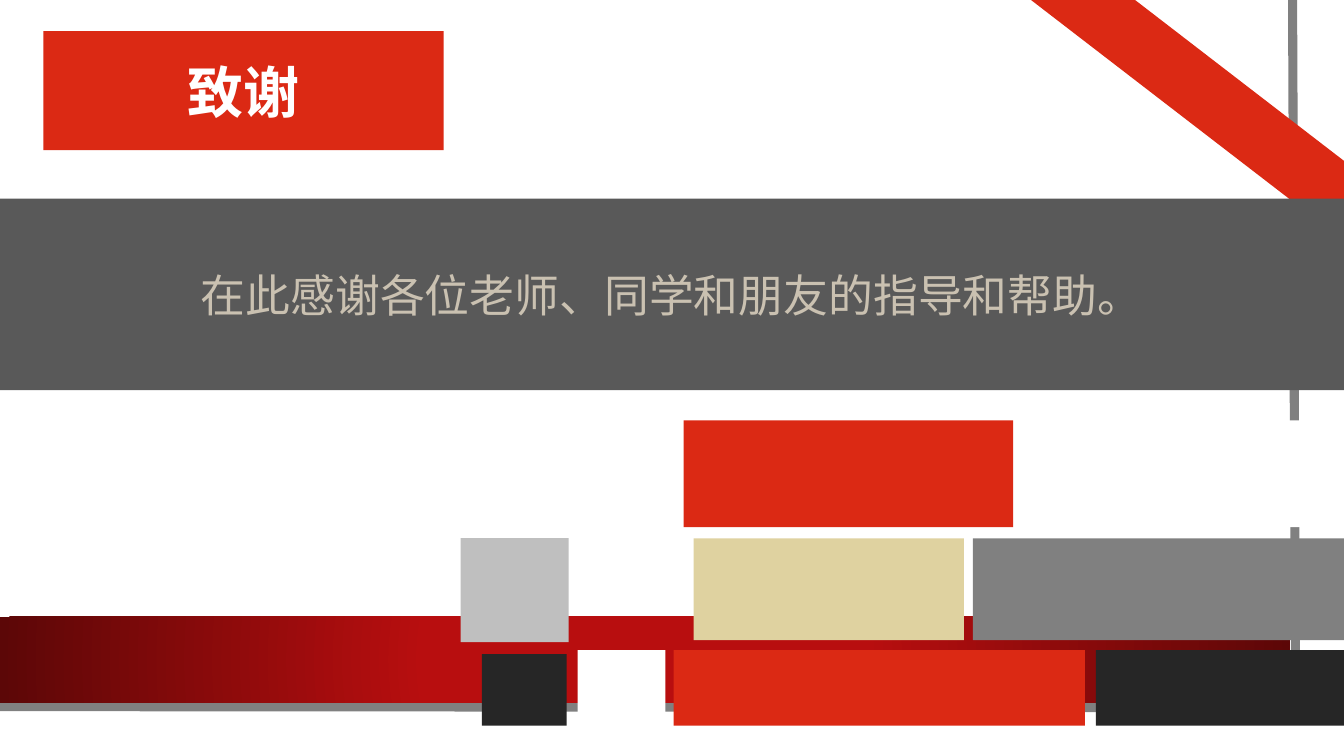
from lxml import etree
from pptx import Presentation
from pptx.dml.color import RGBColor
from pptx.enum.shapes import MSO_SHAPE
from pptx.enum.text import MSO_ANCHOR, PP_ALIGN
from pptx.oxml import parse_xml
from pptx.oxml.ns import nsdecls, qn
from pptx.util import Inches, Pt

WHITE = RGBColor(0xFF, 0xFF, 0xFF)
RED = RGBColor(0xDB, 0x29, 0x14)
CRIMSON = RGBColor(0xB8, 0x0E, 0x0F)
MAROON = RGBColor(0x5C, 0x07, 0x07)
CHARCOAL = RGBColor(0x59, 0x59, 0x59)
BLACK = RGBColor(0x26, 0x26, 0x26)
GREY = RGBColor(0x80, 0x80, 0x80)
SILVER = RGBColor(0xBF, 0xBF, 0xBF)
SAND = RGBColor(0xDF, 0xD2, 0xA0)
TAUPE = RGBColor(0xCA, 0xC1, 0xB1)

TOP_ROW, MIDDLE_ROW, BOTTOM_ROW = 4.17, 5.34, 6.45
TILES = [
    (5.57, TOP_ROW, 1.11, 1.02, WHITE),
    (6.88, MIDDLE_ROW, 2.68, 1.01, SAND),
    (4.57, MIDDLE_ROW, 1.07, 1.03, SILVER),
    (6.78, TOP_ROW, 3.27, 1.06, RED),
    (5.73, BOTTOM_ROW, 0.87, 0.75, WHITE),
    (6.68, BOTTOM_ROW, 4.08, 0.75, RED),
    (9.65, MIDDLE_ROW, 3.69, 1.01, GREY),
    (4.78, 6.49, 0.84, 0.71, BLACK),
    (10.87, BOTTOM_ROW, 2.47, 0.75, BLACK),
    (10.14, TOP_ROW, 3.19, 1.06, WHITE),
]


def add_block(slide, left, top, width, height, color):
    shape = slide.shapes.add_shape(
        MSO_SHAPE.RECTANGLE, Inches(left), Inches(top), Inches(width), Inches(height))
    shape.shadow.inherit = False
    shape.fill.solid()
    shape.fill.fore_color.rgb = color
    shape.line.fill.background()
    return shape


def add_frame_line(slide, points):
    start, *rest = [(Inches(x), Inches(y)) for x, y in points]
    builder = slide.shapes.build_freeform(*start)
    builder.add_line_segments(rest, close=False)
    shape = builder.convert_to_shape()
    shape.shadow.inherit = False
    shape.fill.background()
    shape.line.color.rgb = GREY
    shape.line.width = Pt(6.5)


def set_radial_gradient(shape, stops):
    shape.fill.gradient()
    for stop, (position, color) in zip(shape.fill.gradient_stops, stops):
        stop.position = position
        stop.color.rgb = color
    gradient = shape.element.spPr.find(qn("a:gradFill"))
    radial = parse_xml(f'<a:path {nsdecls("a")} path="circle"/>')
    etree.SubElement(radial, qn("a:fillToRect"),
                     {side: "50000" for side in ("l", "t", "r", "b")})
    gradient.replace(gradient.find(qn("a:lin")), radial)


def add_label(shape, text, font_name, size, color, bold=False):
    frame = shape.text_frame
    frame.word_wrap = True
    frame.vertical_anchor = MSO_ANCHOR.MIDDLE
    paragraph = frame.paragraphs[0]
    paragraph.alignment = PP_ALIGN.CENTER
    run = paragraph.add_run()
    run.text = text
    run.font.name = font_name
    run.font.size = Pt(size)
    run.font.bold = bold
    run.font.color.rgb = color
    properties = run.font._element
    east_asian = etree.SubElement(properties, qn("a:ea"), typeface=font_name)
    properties.find(qn("a:latin")).addnext(east_asian)


def main():
    presentation = Presentation()
    presentation.slide_width = Inches(13.33)
    presentation.slide_height = Inches(7.5)
    slide = presentation.slides.add_slide(presentation.slide_layouts[6])

    add_block(slide, 0, 0, 13.1, 7.27, WHITE)
    add_frame_line(slide, [(12.82, 0), (12.85, 7.02), (-0.03, 7.01)])
    base = add_block(slide, 0, 6.12, 12.8, 0.85, CRIMSON)
    set_radial_gradient(base, [(0.34, CRIMSON), (1, MAROON)])

    ribbon = add_block(slide, 8.1, 0.43, 7.22, 0.63, RED)
    ribbon.rotation = 217.6
    banner = add_block(slide, 0, 1.97, 13.33, 1.9, CHARCOAL)
    add_label(banner, "在此感谢各位老师、同学和朋友的指导和帮助。",
              "Roboto Condensed", 32, TAUPE)

    for tile in TILES:
        add_block(slide, *tile)

    title = add_block(slide, 0.43, 0.31, 3.97, 1.18, RED)
    add_label(title, "致谢", "Noto Sans CJK SC", 40, WHITE, bold=True)

    presentation.save("out.pptx")


if __name__ == "__main__":
    main()
